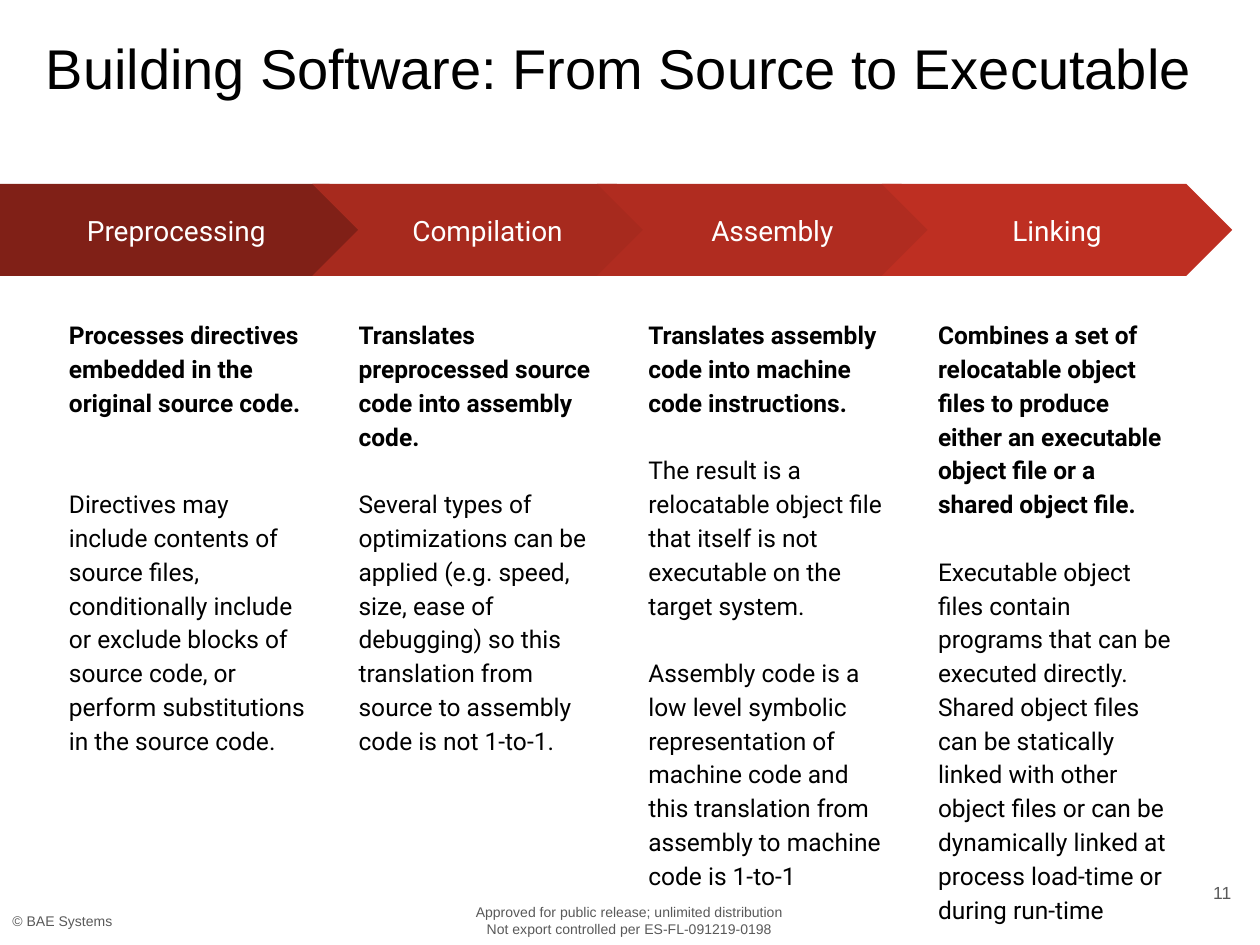
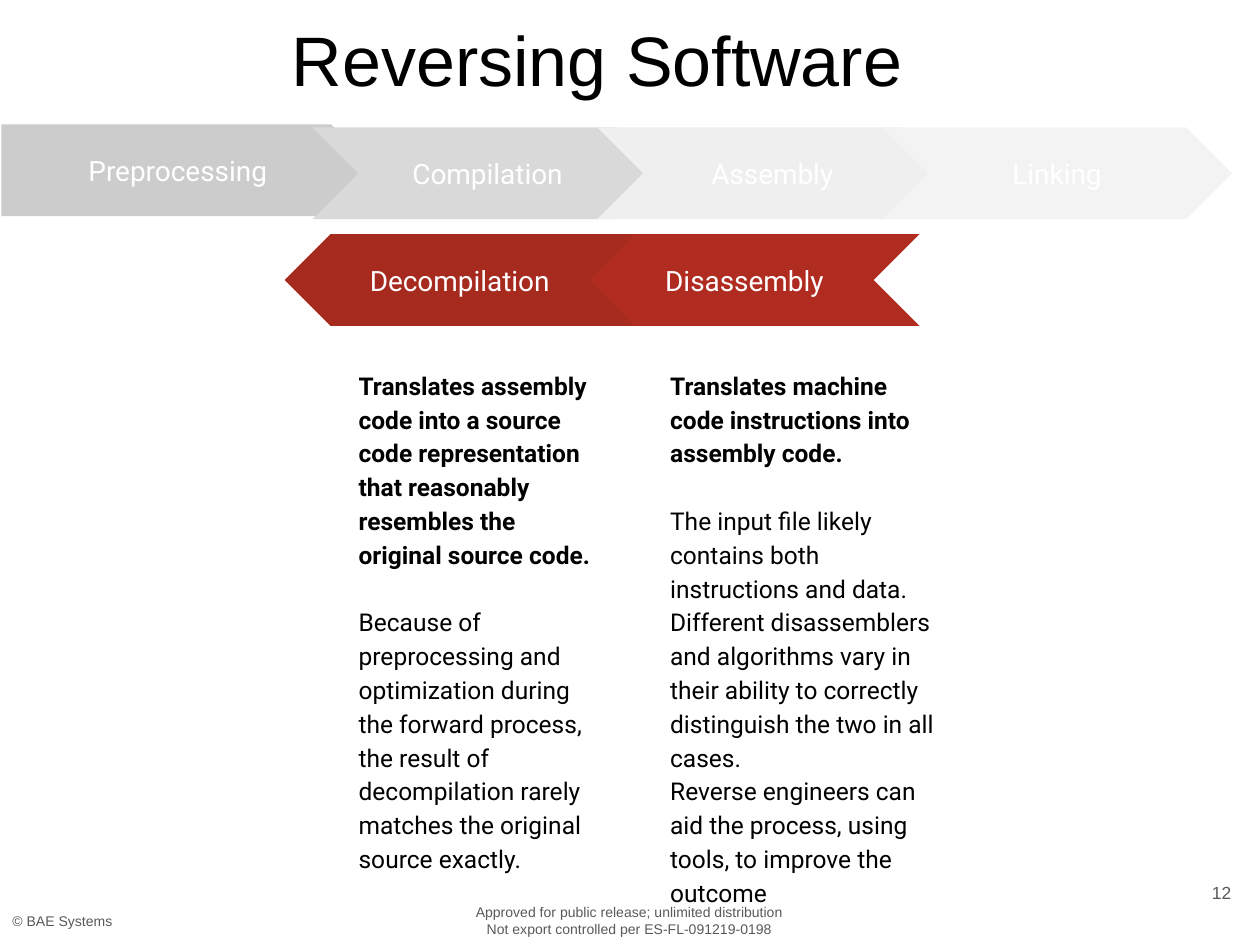
from pptx import Presentation
from pptx.dml.color import RGBColor
from pptx.enum.shapes import MSO_SHAPE
from pptx.enum.text import MSO_ANCHOR, PP_ALIGN
from pptx.util import Cm, Pt

LEFT, CENTER, RIGHT = PP_ALIGN.LEFT, PP_ALIGN.CENTER, PP_ALIGN.RIGHT
TOP, MIDDLE = MSO_ANCHOR.TOP, MSO_ANCHOR.MIDDLE
PENTAGON, CHEVRON = MSO_SHAPE.PENTAGON, MSO_SHAPE.CHEVRON

COLORS = {
    "text": "000000", "white": "FFFFFF", "footer": "595959",
    "preprocessing": "802017", "compilation": "A72A1E",
    "assembly": "B02C20", "linking": "BE2F22",
    "gray1": "CCCCCC", "gray2": "D9D9D9", "gray3": "EFEFEF", "gray4": "F3F3F3",
}
HEAD_FONT, BODY_FONT = "Arial", "Roboto"
INSET = Cm(0.25)
ARROW_W, ARROW_H, ARROW_STEP = 7.06, 1.85, 5.74
FIRST_ARROW_W, FIRST_CHEVRON_X = 7.57, 6.3
COLUMN_X, COLUMN_W, COLUMN_STEP = 1.14, 5.28, 5.84
LINE_GAP = 19.3  # points in one line of column text

STAGES = ["Preprocessing", "Compilation", "Assembly", "Linking"]
# A column is a bold summary, the gap below it in lines, and its details;
# a detail is its text and the gap above it in lines.
BUILD_COLUMNS = [
    ("Processes directives embedded in the original source code.",
     [("Directives may include contents of source files, conditionally include "
       "or exclude blocks of source code, or perform substitutions in the "
       "source code.", 2)]),
    ("Translates preprocessed source code into assembly code.",
     [("Several types of optimizations can be applied (e.g. speed, size, ease "
       "of debugging) so this translation from source to assembly code is not "
       "1-to-1.", 1)]),
    ("Translates assembly code into machine code instructions.",
     [("The result is a relocatable object file that itself is not executable "
       "on the target system.", 1),
      ("Assembly code is a low level symbolic representation of machine code "
       "and this translation from assembly to machine code is 1-to-1", 1)]),
    ("Combines a set of relocatable object files to produce either an "
     "executable object file or a shared object file.",
     [("Executable object files contain programs that can be executed "
       "directly.", 1),
      ("Shared object files can be statically linked with other object files "
       "or can be dynamically linked at process load-time or during run-time", 0)]),
]
DECOMPILATION = (
    "Translates assembly code into a source code representation that "
    "reasonably resembles the original source code.",
    [("Because of preprocessing and optimization during the forward process, "
      "the result of decompilation rarely matches the original source "
      "exactly.", 1)])
DISASSEMBLY = (
    "Translates machine code instructions into assembly code.",
    [("The input file likely contains both instructions and data. Different "
      "disassemblers and algorithms vary in their ability to correctly "
      "distinguish the two in all cases.", 1),
     ("Reverse engineers can aid the process, using tools, to improve the "
      "outcome", 0)])


def rgb(name):
    return RGBColor.from_string(COLORS[name])


def set_text(s, lines, size, font, color, align=LEFT, anchor=TOP):
    tf = s.text_frame
    tf.word_wrap = True
    tf.vertical_anchor = anchor
    tf.margin_left = tf.margin_right = tf.margin_top = tf.margin_bottom = INSET
    tf.text = "\n".join(lines)
    for p in tf.paragraphs:
        p.alignment = align
        for r in p.runs:
            r.font.size = Pt(size)
            r.font.name = font
            r.font.color.rgb = rgb(color)
    return tf


def add_text(slide, box, lines, size, font, color, align=LEFT, anchor=TOP):
    s = slide.shapes.add_textbox(*map(Cm, box))
    return set_text(s, lines, size, font, color, align, anchor)


def add_arrow(slide, kind, x, y, width, label, color, flip=False):
    s = slide.shapes.add_shape(kind, Cm(x), Cm(y), Cm(width), Cm(ARROW_H))
    s.adjustments[0] = 0.5
    s.shadow.inherit = False
    s.fill.solid()
    s.fill.fore_color.rgb = rgb(color)
    s.line.fill.background()
    if flip:
        s._element.spPr.get_or_add_xfrm().set("flipH", "1")
    set_text(s, [label], 16, BODY_FONT, "white", CENTER, MIDDLE)


def add_stages(slide, first_x, first_y, y, colors):
    """Draw the forward build process as one row of arrows."""
    add_arrow(slide, PENTAGON, first_x, first_y, FIRST_ARROW_W, STAGES[0], colors[0])
    for i, (label, color) in enumerate(zip(STAGES[1:], colors[1:])):
        add_arrow(slide, CHEVRON, FIRST_CHEVRON_X + i * ARROW_STEP, y, ARROW_W,
                  label, color)


def add_column(slide, x, y, width, column):
    summary, details = column
    lines = [summary] + [text for text, gap in details]
    tf = add_text(slide, (x, y, width, 7.26), lines, 14, BODY_FONT, "text")
    for p in tf.paragraphs:
        p.line_spacing = 1.15
    tf.paragraphs[0].runs[0].font.bold = True
    for p, (text, gap) in zip(tf.paragraphs[1:], details):
        p.space_before = Pt(gap * LINE_GAP)


def add_slide(prs, title, title_box, title_size, number):
    """Add a slide with its title, footers and slide number."""
    slide = prs.slides.add_slide(prs.slide_layouts[6])
    add_text(slide, (0, 18.06, 2.67, 0.99), ["© BAE Systems"],
             8, HEAD_FONT, "footer", LEFT, MIDDLE)
    add_text(slide, (9.07, 18.06, 7.24, 0.99),
             ["Approved for public release; unlimited distribution",
              "Not export controlled per ES-FL-091219-0198"],
             8, HEAD_FONT, "footer", CENTER, MIDDLE)
    add_text(slide, (23.55, 17.27, 1.52, 1.45), [str(number)],
             10, HEAD_FONT, "footer", RIGHT, MIDDLE)
    add_text(slide, title_box, [title], title_size, HEAD_FONT, "text", CENTER)
    return slide


def add_building_slide(prs):
    slide = add_slide(prs, "Building Software: From Source to Executable",
                      (0, 0.43, 24.97, 2.11), 32, 11)
    add_stages(slide, 0, 3.71, 3.71,
               ["preprocessing", "compilation", "assembly", "linking"])
    for i, column in enumerate(BUILD_COLUMNS):
        add_column(slide, COLUMN_X + i * COLUMN_STEP, 6.12, COLUMN_W, column)


def add_reversing_slide(prs):
    slide = add_slide(prs, "Reversing Software", (0.2, 0.08, 23.67, 2.11), 40, 12)
    add_stages(slide, 0.03, 2.51, 2.57, ["gray1", "gray2", "gray3", "gray4"])
    add_arrow(slide, CHEVRON, 2 * ARROW_STEP, 4.72, ARROW_W, "Disassembly",
              "assembly", flip=True)
    add_arrow(slide, CHEVRON, ARROW_STEP, 4.72, ARROW_W, "Decompilation",
              "compilation", flip=True)
    add_column(slide, COLUMN_X + COLUMN_STEP, 7.14, COLUMN_W, DECOMPILATION)
    add_column(slide, 13.26, 7.14, 5.84, DISASSEMBLY)


def main():
    prs = Presentation()
    prs.slide_width, prs.slide_height = Cm(25.4), Cm(19.05)
    add_building_slide(prs)
    add_reversing_slide(prs)
    prs.save("out.pptx")


if __name__ == "__main__":
    main()
